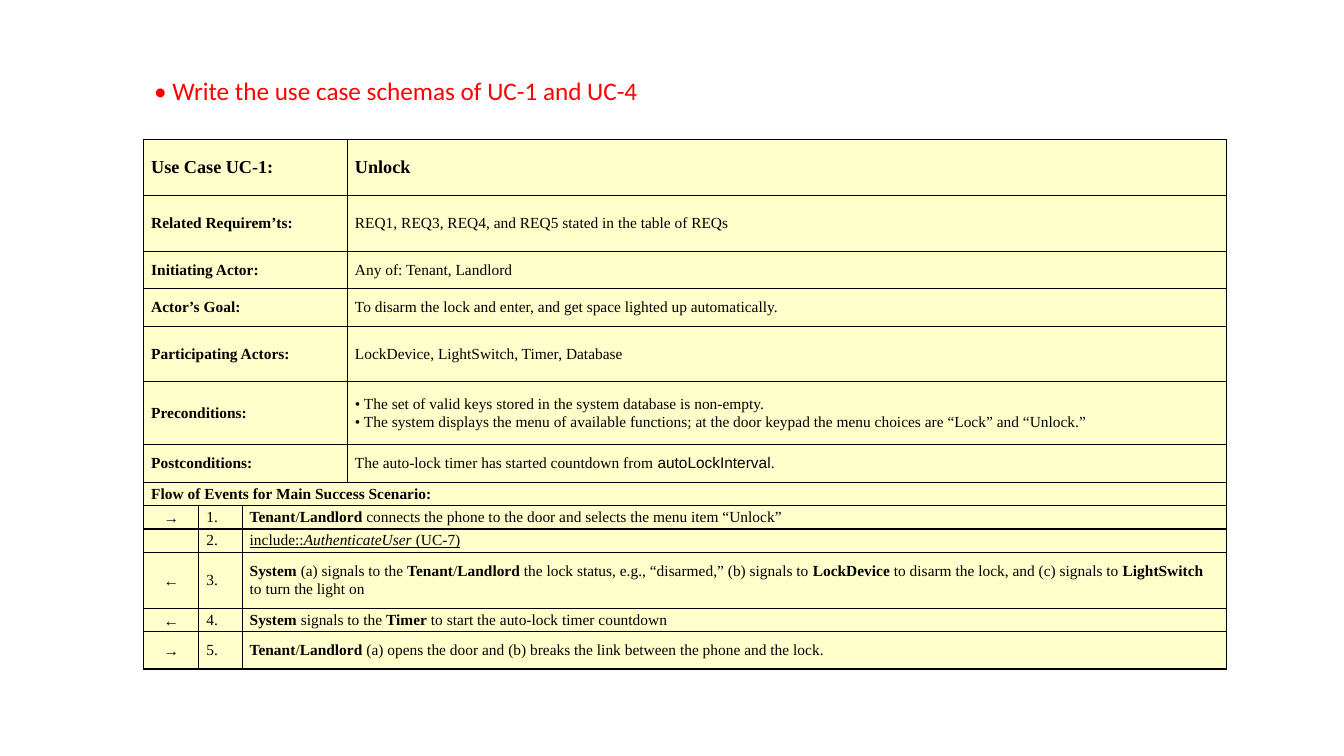
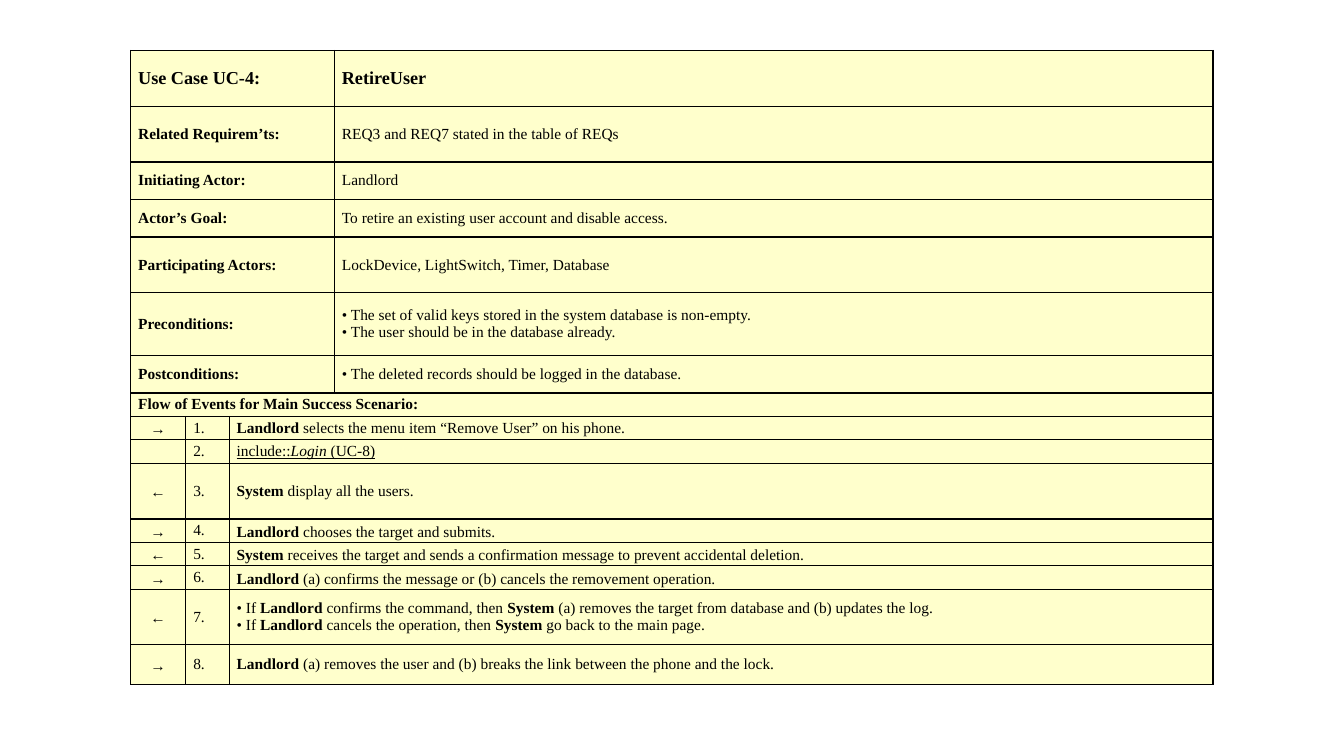
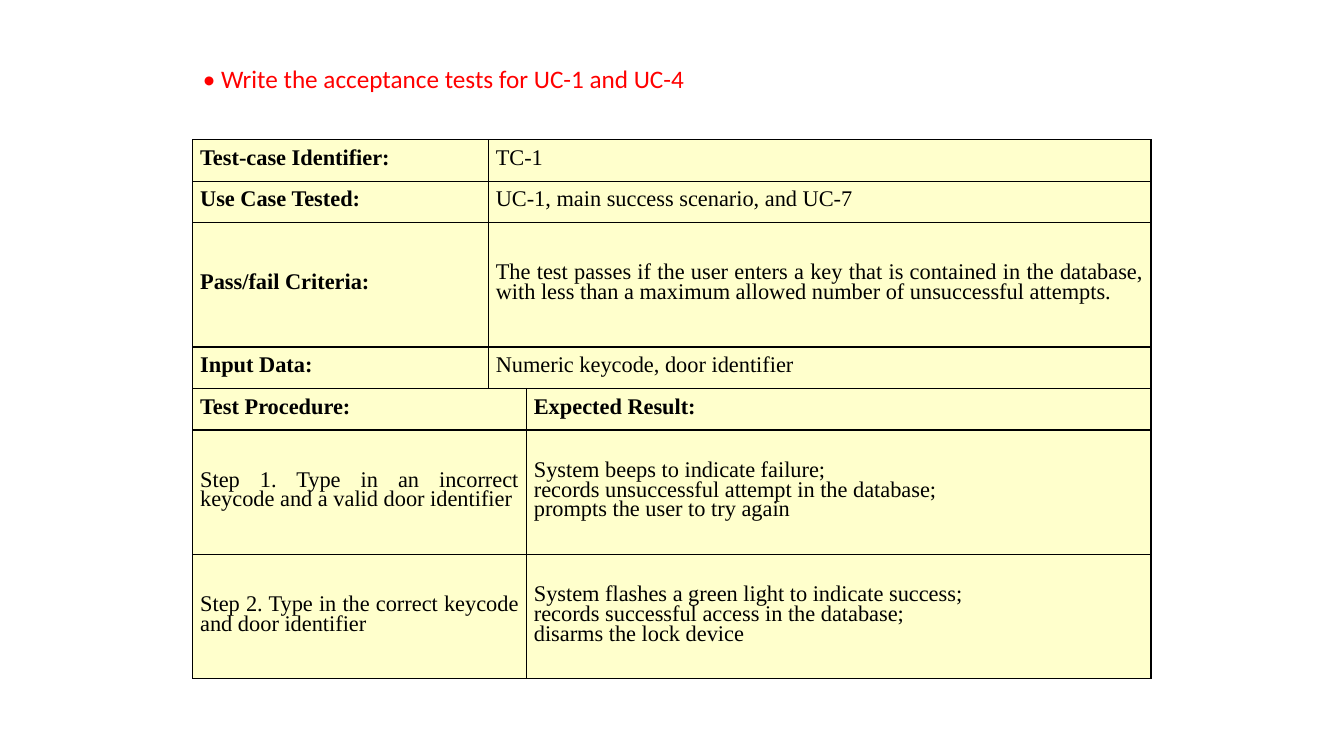
"""Build three slides of use case schemas and an acceptance test."""
from dataclasses import dataclass
from typing import Optional

from lxml import etree
from pptx import Presentation
from pptx.dml.color import RGBColor
from pptx.enum import text as t
from pptx.oxml import ns
from pptx.util import Pt


@dataclass(frozen=True)
class Theme:
    ink: str = "000000"
    paper: str = "FFFFCC"
    prompt: str = "FF0000"
    serif: str = "Times New Roman"
    sans: str = "Arial"
    prompt_font: str = "Calibri"
    prompt_size: float = 18
    name_size: float = 13
    schema_size: float = 11
    test_size: float = 16
    border: float = 1
    inset: float = 5.4
    leading: float = 14


@dataclass(frozen=True)
class Cell:
    text: str
    span: int = 1
    size: float = Theme.schema_size
    align: Optional[t.PP_ALIGN] = None
    leading: Optional[float] = None
    before: Optional[float] = None


@dataclass(frozen=True)
class Row:
    height: float
    cells: tuple[Cell, ...]


@dataclass(frozen=True)
class Step:
    arrow: str
    text: str
    height: float
    justified: bool = False


THEME = Theme()
MARKS = {"*": "bold", "_": "underline", "~": "italic", "^": "sans"}
TALL, MEDIUM, LIST, LINE = 39.8, 26.8, 44.9, 16.75
SCHEMA_COLUMNS = (39.4, 31, 75.2, 627.7)
TEST_COLUMNS = (211.2, 27.2, 446.2)
FIELDS = (
    ("Related Requirem’ts:", TALL),
    ("Initiating Actor:", MEDIUM),
    ("Actor’s Goal:", MEDIUM),
    ("Participating Actors:", TALL),
    ("Preconditions:", LIST),
    ("Postconditions:", MEDIUM),
)


def write(frame, text: str, *, size: float, font: str = THEME.serif, color: str = THEME.ink,
          align=None, leading: Optional[float] = None, before: Optional[float] = None) -> None:
    """Write marked text, with newlines between paragraphs and vertical tabs between lines."""
    for index, line in enumerate(text.split("\n")):
        para = frame.add_paragraph() if index else frame.paragraphs[0]
        para.alignment = align
        para.line_spacing = Pt(leading) if leading else None
        para.space_before = Pt(before) if before else None
        active: set[str] = set()
        piece = ""
        for char in line + "\0":
            if char not in MARKS and char not in "\v\0":
                piece += char
                continue
            if piece:
                span = para.add_run()
                span.text = piece
                span.font.size = Pt(size)
                span.font.name = THEME.sans if "sans" in active else font
                span.font.color.rgb = RGBColor.from_string(color)
                span.font.bold = "bold" in active
                span.font.italic = "italic" in active
                span.font.underline = "underline" in active
                piece = ""
            if char == "\v":
                para.add_line_break()
            elif char in MARKS:
                active ^= {MARKS[char]}
        if not line:
            end = etree.SubElement(para._p, ns.qn("a:endParaRPr"))
            end.set("sz", str(int(size * 100)))


def add_prompt(page, text: str, left: float, top: float) -> None:
    """Place the red assignment line above a table."""
    box = page.shapes.add_textbox(Pt(left), Pt(top), Pt(404), Pt(29))
    box.text_frame.word_wrap = True
    write(box.text_frame, text, size=THEME.prompt_size, font=THEME.prompt_font, color=THEME.prompt)


def dress(cell) -> None:
    """Give a table cell its fill, insets and four borders."""
    cell.fill.solid()
    cell.fill.fore_color.rgb = RGBColor.from_string(THEME.paper)
    cell.vertical_anchor = t.MSO_ANCHOR.MIDDLE
    cell.margin_left = cell.margin_right = Pt(THEME.inset)
    cell.margin_top = cell.margin_bottom = 0
    properties = cell._tc.get_or_add_tcPr()
    for index, side in enumerate(("lnL", "lnR", "lnT", "lnB")):
        line = etree.Element(ns.qn(f"a:{side}"), w=str(Pt(THEME.border)))
        fill = etree.SubElement(line, ns.qn("a:solidFill"))
        etree.SubElement(fill, ns.qn("a:srgbClr"), val=THEME.ink)
        properties.insert(index, line)


def add_grid(page, left: float, top: float, widths: tuple[float, ...], rows: list[Row]) -> None:
    """Draw rows of spanning cells as one table."""
    height = sum(row.height for row in rows)
    table = page.shapes.add_table(len(rows), len(widths), Pt(left), Pt(top),
                                  Pt(sum(widths)), Pt(height)).table
    table.first_row = table.horz_banding = False
    for column, width in zip(table.columns, widths):
        column.width = Pt(width)
    for index, row in enumerate(rows):
        table.rows[index].height = Pt(row.height)
        for place in range(len(widths)):
            dress(table.cell(index, place))
        place = 0
        for item in row.cells:
            cell = table.cell(index, place)
            if item.span > 1:
                cell.merge(table.cell(index, place + item.span - 1))
            write(cell.text_frame, item.text, size=item.size, align=item.align,
                  leading=item.leading, before=item.before)
            place += item.span


def schema_rows(code: str, name: str, values: tuple[str, ...], steps: tuple[Step, ...]) -> list[Row]:
    """Lay out a use case: its name, its fields and its numbered steps."""
    rows = [Row(TALL, (Cell(f"*Use Case {code}:*", 3, THEME.name_size),
                       Cell(f"*{name}*", 1, THEME.name_size)))]
    for (label, height), value in zip(FIELDS, values):
        rows.append(Row(height, (Cell(f"*{label}*", 3), Cell(value))))
    rows.append(Row(LINE, (Cell("*Flow of Events for Main Success Scenario:*", 4),)))
    for number, step in enumerate(steps, 1):
        body = Cell(step.text, 2)
        if step.justified:
            body = Cell(step.text, 2, align=t.PP_ALIGN.JUSTIFY, leading=THEME.leading)
        arrow = Cell(step.arrow, align=t.PP_ALIGN.CENTER, leading=THEME.leading)
        rows.append(Row(step.height, (arrow, Cell(f"{number}."), body)))
    return rows


def test_row(height: float, label: str, value: str, label_span: int = 1, justified: bool = True) -> Row:
    """Lay out one row of the acceptance test."""
    def cell(text: str, span: int, align) -> Cell:
        """Format one cell of the row."""
        return Cell(text, span, THEME.test_size, align, THEME.leading, 6)

    justify = t.PP_ALIGN.JUSTIFY
    return Row(height, (cell(label, label_span, justify),
                        cell(value, 3 - label_span, justify if justified else None)))


UNLOCK_VALUES = (
    "REQ1, REQ3, REQ4, and REQ5 stated in the table of REQs",
    "Any of: Tenant, Landlord",
    "To disarm the lock and enter, and get space lighted up automatically.",
    "LockDevice, LightSwitch, Timer, Database",
    "• The set of valid keys stored in the system database is non-empty.\n"
    "• The system displays the menu of available functions; at the door keypad "
    "the menu choices are “Lock” and “Unlock.”",
    "The auto-lock timer has started countdown from ^autoLockInterval^.",
)
UNLOCK_STEPS = (
    Step("→", "*Tenant*/*Landlord* connects the phone to the door and selects the menu item “Unlock”", LINE),
    Step("", "_include::~AuthenticateUser~ (UC-7)_", LINE),
    Step("←", "*System* (a) signals to the *Tenant*/*Landlord* the lock status, e.g., “disarmed,” "
         "(b) signals to *LockDevice* to disarm the lock, and (c) signals to *LightSwitch* "
         "to turn the light on", TALL),
    Step("←", "*System* signals to the *Timer* to start the auto-lock timer countdown", LINE),
    Step("→", "*Tenant*/*Landlord* (a) opens the door and (b) breaks the link between "
         "the phone and the lock.", MEDIUM),
)
RETIRE_VALUES = (
    "REQ3 and REQ7 stated in the table of REQs",
    "Landlord",
    "To retire an existing user account and disable access.",
    "LockDevice, LightSwitch, Timer, Database",
    "• The set of valid keys stored in the system database is non-empty.\n"
    "• The user should be in the database already.",
    "• The deleted records should be logged in the database.",
)
RETIRE_STEPS = (
    Step("→", "*Landlord* selects the menu item “Remove User” on his phone.", LINE),
    Step("", "_include::~Login~ (UC-8)_", LINE),
    Step("←", "*System* display all the users.", TALL),
    Step("→", "*Landlord* chooses the target and submits.", LINE, True),
    Step("←", "*System *receives the target and sends a confirmation message "
         "to prevent accidental deletion.", LINE, True),
    Step("→", "*Landlord* (a) confirms the message or (b) cancels the removement operation.", 17, True),
    Step("←", "• If *Landlord *confirms the command, then *System* (a) removes the target "
         "from database and (b) updates the log.\n"
         "• If *Landlord* cancels the operation, then *System* go back to the main page.", 39.2),
    Step("→", "*Landlord *(a) removes the user and (b) breaks the link between "
         "the phone and the lock.", 28.8),
)
SHORT, DEEP = 29.6, 88.9
TEST_ROWS = [
    test_row(SHORT, "*Test-case Identifier:*", "TC-1"),
    test_row(SHORT, "*Use Case Tested:*", "UC-1, main success scenario, and UC-7"),
    test_row(DEEP, "*Pass/fail Criteria:*",
             "The test passes if the user enters a key that is contained in the database, "
             "with less than a maximum allowed number of unsuccessful attempts."),
    test_row(SHORT, "*Input Data:*", "Numeric keycode, door identifier"),
    test_row(SHORT, "*Test Procedure:*", "*Expected Result:*", 2),
    test_row(DEEP, "Step 1. Type in an incorrect keycode and a valid door identifier",
             "System beeps to indicate failure;\vrecords unsuccessful attempt in the database;"
             "\vprompts the user to try again", 2, False),
    test_row(DEEP, "Step 2. Type in the correct keycode and door identifier",
             "System flashes a green light to indicate success;"
             "\vrecords successful access in the database;\vdisarms the lock device", 2, False),
]


def main() -> None:
    """Build and save the deck."""
    deck = Presentation()
    deck.slide_width, deck.slide_height = Pt(960), Pt(540)
    unlock, retire, test = (deck.slides.add_slide(deck.slide_layouts[6]) for _ in range(3))
    add_prompt(unlock, "• Write the use case schemas of UC-1 and UC-4", 103, 50.5)
    add_grid(unlock, 102.6, 99.8, SCHEMA_COLUMNS,
             schema_rows("UC-1", "Unlock", UNLOCK_VALUES, UNLOCK_STEPS))
    add_grid(retire, 93.3, 36.1, SCHEMA_COLUMNS,
             schema_rows("UC-4", "RetireUser", RETIRE_VALUES, RETIRE_STEPS))
    add_prompt(test, "• Write the acceptance tests for UC-1 and UC-4", 137.8, 42)
    add_grid(test, 137.6, 99.8, TEST_COLUMNS, TEST_ROWS)
    deck.save("out.pptx")


if __name__ == "__main__":
    main()
